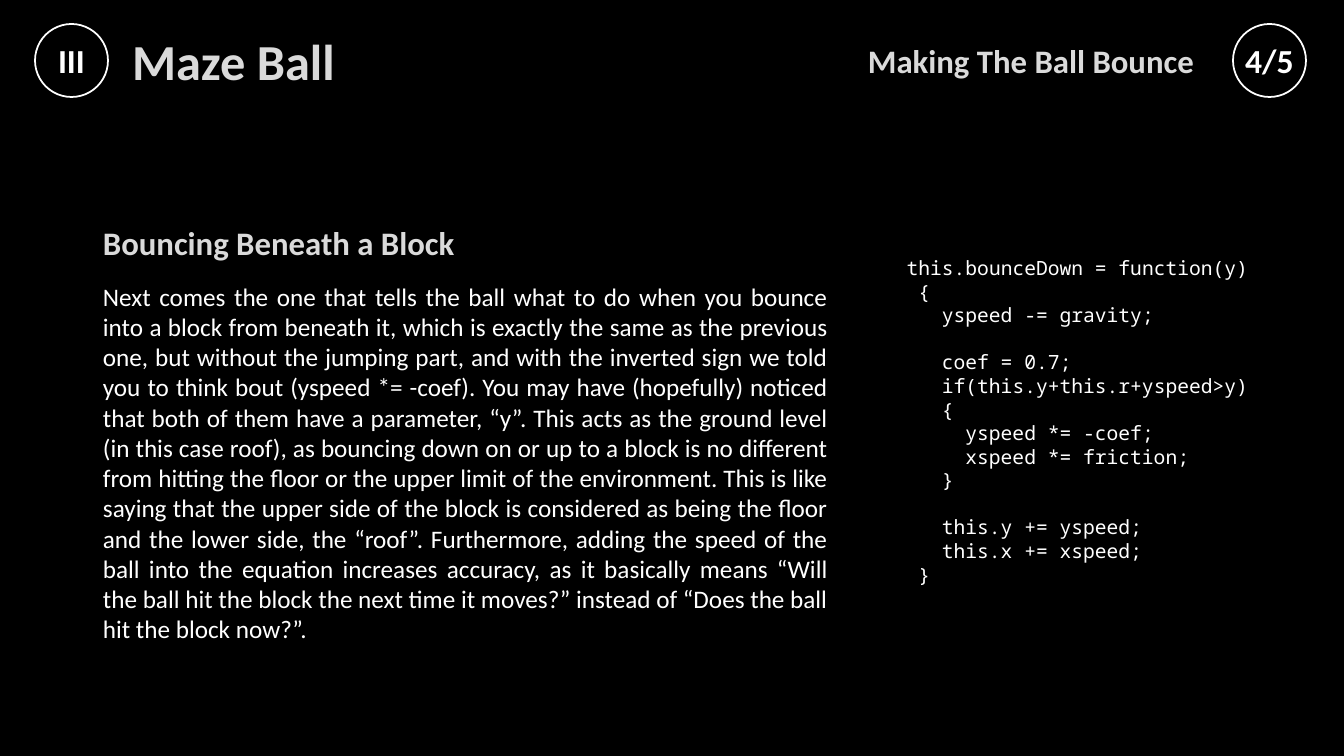
from lxml import etree
from pptx import Presentation
from pptx.dml.color import RGBColor
from pptx.enum.shapes import MSO_SHAPE
from pptx.enum.text import MSO_ANCHOR, MSO_AUTO_SIZE, PP_ALIGN
from pptx.oxml.ns import qn
from pptx.util import Pt

ELLIPSE = MSO_SHAPE.OVAL
TOP, MIDDLE = MSO_ANCHOR.TOP, MSO_ANCHOR.MIDDLE
FIXED, GROW = MSO_AUTO_SIZE.NONE, MSO_AUTO_SIZE.SHAPE_TO_FIT_TEXT
LEFT, CENTER = PP_ALIGN.LEFT, PP_ALIGN.CENTER
RIGHT, JUSTIFY = PP_ALIGN.RIGHT, PP_ALIGN.JUSTIFY

EMU_PER_PIXEL = 914400 / 100.8
BLACK, WHITE, SILVER, GRAY = "000000", "FFFFFF", "DADADA", "404040"
SANS, MONO = "Calibri", "Noto Sans Mono"
CODE_SIZE = 14
CODE_SPACE = 0.6 * CODE_SIZE  # width of one character, in points
CODE_LINE = 17  # height of one line, in points

BODY_SENTENCES = [
    "Next comes the one that tells the ball what to do when you bounce into a "
    "block from beneath it, which is exactly the same as the previous one, but "
    "without the jumping part, and with the inverted sign we told you to think "
    "bout (yspeed *= -coef).",
    "You may have (hopefully) noticed that both of them have a parameter, “y”.",
    "This acts as the ground level (in this case roof), as bouncing down on or up "
    "to a block is no different from hitting the floor or the upper limit of the "
    "environment.",
    "This is like saying that the upper side of the block is considered as being "
    "the floor and the lower side, the “roof”.",
    "Furthermore, adding the speed of the ball into the equation increases "
    "accuracy, as it basically means “Will the ball hit the block the next time "
    "it moves?” instead of “Does the ball hit the block now?”.",
]

CODE = """\
 this.bounceDown = function(y)
  {
    yspeed -= gravity;

    coef = 0.7;
    if(this.y+this.r+yspeed>y)
    {
      yspeed *= -coef;
      xspeed *= friction;
    }

    this.y += yspeed;
    this.x += xspeed;
  }"""


def px(length):
    return round(length * EMU_PER_PIXEL)


def color(value):
    return RGBColor.from_string(value)


def apply(target, values):
    for name, value in values.items():
        setattr(target, name, value)


class SlideBuilder:
    def __init__(self, deck):
        self.slide = deck.slides.add_slide(deck.slide_layouts[5])
        fill = self.slide.background.fill
        fill.solid()
        fill.fore_color.rgb = color(BLACK)

    def place(self, box, area):
        apply(box, dict(zip(("left", "top", "width", "height"), map(px, area))))

    def add_span(self, para, text, size, ink=WHITE, bold=False, font=SANS):
        span = para.add_run()
        span.text = text
        apply(span.font, {"name": font, "size": Pt(size), "bold": bold})
        span.font.color.rgb = color(ink)
        return span

    def format_frame(self, box, anchor, fit=FIXED):
        apply(box.text_frame, {"word_wrap": True, "auto_size": fit, "vertical_anchor": anchor})
        return box.text_frame

    def text_box(self, area, anchor, fit=FIXED):
        box = self.slide.shapes.add_textbox(*map(px, area))
        return self.format_frame(box, anchor, fit)

    def write_heading(self, frame, text, size, align):
        para = frame.paragraphs[0]
        para.alignment = align
        span = self.add_span(para, text, size, SILVER, bold=True)
        # Faint outline around the letters
        outline = etree.Element(qn("a:ln"), w=str(Pt(0.75)))
        fill = etree.SubElement(outline, qn("a:solidFill"))
        ink = etree.SubElement(fill, qn("a:srgbClr"), val=GRAY)
        etree.SubElement(ink, qn("a:alpha"), val="10000")
        span._r.get_or_add_rPr().insert(0, outline)

    def title(self, text, area):
        box = self.slide.shapes.title
        self.place(box, area)
        self.write_heading(self.format_frame(box, MIDDLE), text, 36, LEFT)

    def heading(self, text, area, align=LEFT):
        self.write_heading(self.text_box(area, MIDDLE), text, 23.4, align)

    def body(self, text, area):
        para = self.text_box(area, TOP, GROW).paragraphs[0]
        para.alignment = JUSTIFY
        self.add_span(para, text, 18)

    def code(self, source, area):
        frame = self.text_box(area, TOP, GROW)
        para, gap = frame.paragraphs[0], 0
        for line in source.splitlines():
            statement = line.lstrip()
            if not statement:
                gap = CODE_LINE
                continue
            if para.runs:
                para = frame.add_paragraph()
            apply(para, {"alignment": LEFT, "space_before": Pt(gap)})
            indent = Pt((len(line) - len(statement)) * CODE_SPACE)
            para._p.get_or_add_pPr().set("marL", str(indent))
            self.add_span(para, statement, CODE_SIZE, font=MONO)
            gap = 0

    def badge(self, text, area):
        circle = self.slide.shapes.add_shape(ELLIPSE, *map(px, area))
        circle.shadow.inherit = False
        circle.fill.background()
        circle.line.color.rgb = color(WHITE)
        circle.line.width = Pt(1.25)
        frame = self.format_frame(circle, MIDDLE)
        apply(frame, {f"margin_{side}": 0 for side in ("left", "top", "right", "bottom")})
        para = frame.paragraphs[0]
        para.alignment = CENTER
        self.add_span(para, text, 24, bold=True)


def main():
    deck = Presentation()
    apply(deck, {"slide_width": px(1344), "slide_height": px(756)})
    page = SlideBuilder(deck)

    # Header: chapter on the left, section on the right
    page.title("Maze Ball", (122, 34, 1040, 53))
    page.badge("III", (35, 24, 73, 73))
    page.heading("Making The Ball Bounce", (651, 16, 553, 89), RIGHT)
    page.badge("4/5", (1233, 24, 73, 73))

    # Explanation
    page.heading("Bouncing Beneath a Block", (93, 198, 657, 89))
    page.body(" ".join(BODY_SENTENCES), (93, 276, 745, 377))

    # Code listing
    page.code(CODE, (885, 251, 449, 343))

    deck.save("out.pptx")


if __name__ == "__main__":
    main()
